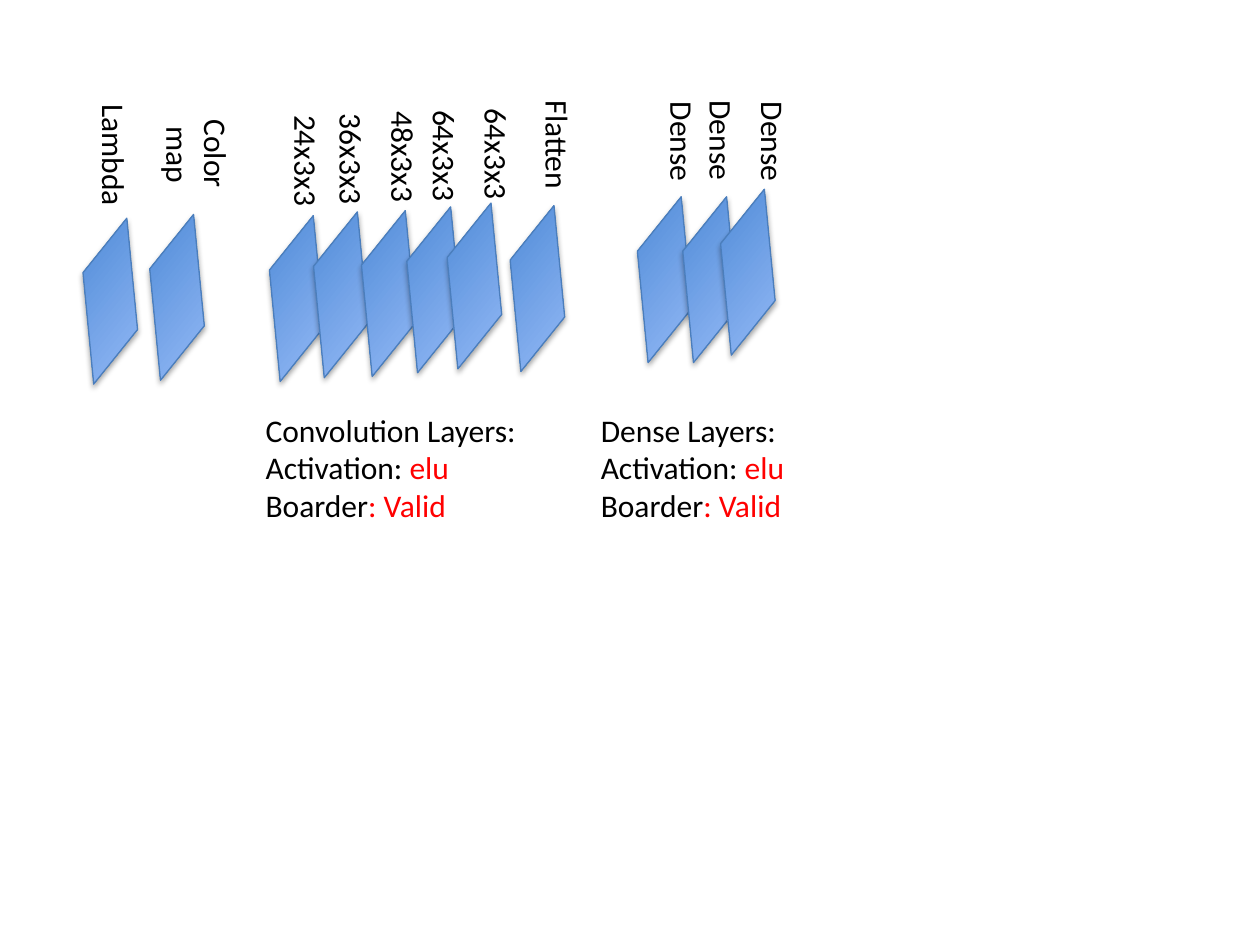
from dataclasses import dataclass

from lxml import etree
from pptx import Presentation
from pptx.dml.color import RGBColor
from pptx.enum.shapes import MSO_SHAPE
from pptx.enum.text import MSO_AUTO_SIZE
from pptx.oxml.ns import qn
from pptx.util import Inches, Pt

PARALLELOGRAM = MSO_SHAPE.PARALLELOGRAM
GROW = MSO_AUTO_SIZE.SHAPE_TO_FIT_TEXT


@dataclass(frozen=True)
class Theme:
    """Colours and type sizes of the slide."""
    font: str = "Calibri"
    size: int = 18
    ink: str = "000000"
    accent: str = "FF0000"
    plate_dark: str = "3F80CE"
    plate_light: str = "A4C4FF"
    plate_edge: str = "4B7EBC"
    plate_edge_width: float = 0.75


THEME = Theme()
PLATE_SIZE = (1.19, 0.62)
PLATE_TURN = 128.8
PLATE_SLANT = 1.025
LINE_HEIGHT = 0.4

PLATES = [
    (0.28, 2.08), (0.81, 2.05),
    (1.76, 2.06), (2.11, 2.03), (2.49, 2.02), (2.85, 1.99), (3.17, 1.96),
    (3.67, 1.98),
    (4.68, 1.91), (5.04, 1.91), (5.34, 1.85),
]
LAYER_LABELS = [
    ("Lambda", 0.4, 1.04, 1.02),
    ("24x3x3", 1.97, 1.08, 0.93),
    ("36x3x3", 2.33, 1.07, 0.93),
    ("48x3x3", 2.74, 1.05, 0.93),
    ("64x3x3", 3.07, 1.04, 0.93),
    ("64x3x3", 3.48, 1.03, 0.93),
    ("Flatten", 3.97, 0.96, 0.92),
    ("Dense", 5, 0.93, 0.84),
    ("Dense", 5.31, 0.92, 0.84),
    ("Dense", 5.72, 0.93, 0.84),
]
SETTINGS = [
    ("Convolution Layers: ", 2.01, 2.62),
    ("Dense Layers:", 4.67, 2.13),
]


def add_soft_shadow(shape):
    """Give a shape a small shadow straight below it."""
    shape.shadow.inherit = False
    effects = shape._element.spPr.find(qn("a:effectLst"))
    shadow = etree.SubElement(effects, qn("a:outerShdw"), blurRad="40000",
                              dist="23000", dir="5400000", rotWithShape="0")
    black = etree.SubElement(shadow, qn("a:srgbClr"), val="000000")
    etree.SubElement(black, qn("a:alpha"), val="35000")


def add_plate(slide, left, top):
    """Draw one network layer as a tilted plate."""
    width, height = PLATE_SIZE
    plate = slide.shapes.add_shape(PARALLELOGRAM, Inches(left), Inches(top),
                                   Inches(width), Inches(height))
    plate.rotation = PLATE_TURN
    plate.adjustments[0] = PLATE_SLANT
    plate.fill.gradient()
    plate.fill.gradient_angle = 90
    shades = (THEME.plate_dark, THEME.plate_light)
    for stop, shade, position in zip(plate.fill.gradient_stops, shades, (0, 1)):
        stop.color.rgb = RGBColor.from_string(shade)
        stop.position = position
    plate.line.color.rgb = RGBColor.from_string(THEME.plate_edge)
    plate.line.width = Pt(THEME.plate_edge_width)
    add_soft_shadow(plate)


def add_text(slide, box, lines, turn=0, wrap=True):
    """Write lines, each a list of (text, colour) runs, in a box."""
    holder = slide.shapes.add_textbox(*map(Inches, box))
    holder.rotation = turn
    frame = holder.text_frame
    frame.word_wrap = wrap
    frame.auto_size = GROW
    for index, line in enumerate(lines):
        paragraph = frame.add_paragraph() if index else frame.paragraphs[0]
        for words, colour in line:
            run = paragraph.add_run()
            run.text = words
            run.font.name = THEME.font
            run.font.size = Pt(THEME.size)
            run.font.color.rgb = RGBColor.from_string(colour)


def add_layer_label(slide, box, *lines):
    """Write a label that reads downwards above its plate."""
    add_text(slide, box, [[(line, THEME.ink)] for line in lines], 90, False)


def add_settings(slide, heading, left, width):
    """List the settings shared by one group of layers."""
    add_text(slide, (left, 3.21, width, 1.01), [
        [(heading, THEME.ink)],
        [("Activation: ", THEME.ink), ("elu", THEME.accent)],
        [("Boarder", THEME.ink), (": Valid", THEME.accent)],
    ])


def main():
    """Build the slide and save it."""
    deck = Presentation()
    deck.slide_width, deck.slide_height = Inches(10), Inches(7.5)
    slide = deck.slides.add_slide(deck.slide_layouts[6])
    for left, top in PLATES:
        add_plate(slide, left, top)
    for name, left, top, width in LAYER_LABELS:
        add_layer_label(slide, (left, top, width, LINE_HEIGHT), name)
    add_layer_label(slide, (1.19, 0.87, 0.75, 0.71), "Color", " map")
    for heading, left, width in SETTINGS:
        add_settings(slide, heading, left, width)
    deck.save("out.pptx")


main()
